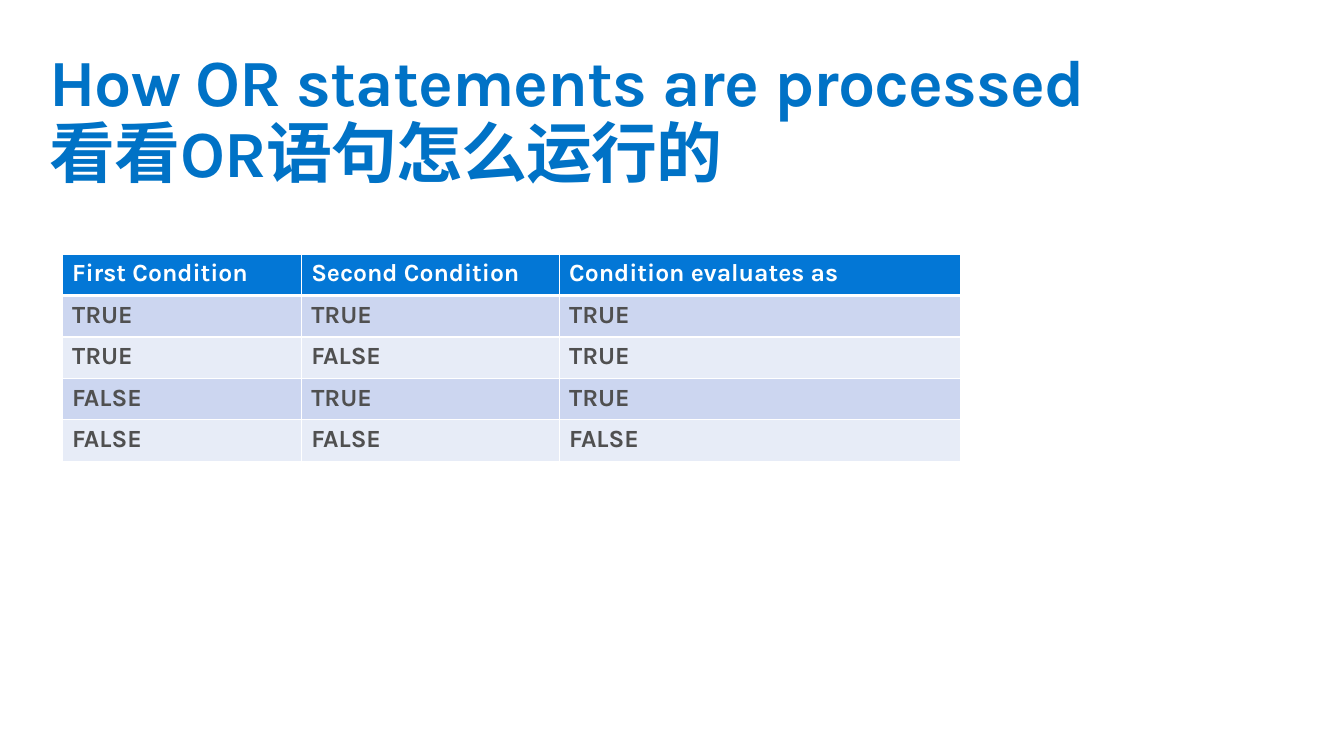
from lxml import etree
from pptx import Presentation
from pptx.dml.color import RGBColor
from pptx.enum import text
from pptx.oxml import ns
from pptx.util import Inches, Pt

TITLE_BLUE = RGBColor(0x00, 0x72, 0xC6)
HEADER_BLUE = RGBColor(0x03, 0x77, 0xD6)
BAND_DARK = RGBColor(0xCC, 0xD6, 0xF0)
BAND_LIGHT = RGBColor(0xE7, 0xEC, 0xF7)
WHITE = RGBColor(0xFF, 0xFF, 0xFF)
GREY = RGBColor(0x50, 0x50, 0x50)

TITLE = "How OR statements are processed\v看看OR语句怎么运行的"
HEADINGS = ("First Condition", "Second Condition", "Condition evaluates as")
CONDITIONS = [(first, second) for first in (True, False) for second in (True, False)]
COLUMN_WIDTHS = (2.42, 2.61, 4.06)
ROW_HEIGHT = 0.42


def set_attributes(target, values):
    """Set each named value on the target."""
    for name, value in values.items():
        setattr(target, name, value)


def format_runs(paragraph, size, color):
    """Give every run of a paragraph the bold slide font."""
    for run in paragraph.runs:
        set_attributes(run.font, {"name": "Karla", "size": Pt(size), "bold": True})
        run.font.color.rgb = color


def add_title(slide):
    """Place and format the bilingual title."""
    title = slide.shapes.title
    set_attributes(title, {"left": Inches(0.4), "top": Inches(0.4),
                           "width": Inches(12.8), "height": Inches(1)})
    frame = title.text_frame
    margins = {f"margin_{side}": Inches(0.1) for side in ("left", "top", "right", "bottom")}
    set_attributes(frame, {**margins, "word_wrap": True,
                           "auto_size": text.MSO_AUTO_SIZE.NONE,
                           "vertical_anchor": text.MSO_ANCHOR.TOP})
    paragraph = frame.paragraphs[0]
    paragraph.text = TITLE
    set_attributes(paragraph, {"alignment": text.PP_ALIGN.LEFT, "line_spacing": 0.9})
    format_runs(paragraph, 48, TITLE_BLUE)
    for run in paragraph.runs:
        run.font._element.set("spc", "-70")


def add_borders(cell, widths):
    """Draw white cell borders, with widths in points by side."""
    properties = cell._tc.get_or_add_tcPr()
    for side, width in widths.items():
        line = etree.SubElement(properties, ns.qn(f"a:ln{side}"), w=str(Pt(width)))
        fill = etree.SubElement(line, ns.qn("a:solidFill"))
        etree.SubElement(fill, ns.qn("a:srgbClr"), val=str(WHITE))


def fill_cell(cell, label, fill_color, text_color, widths):
    """Write one table cell with its fill and borders."""
    add_borders(cell, widths)
    cell.fill.solid()
    cell.fill.fore_color.rgb = fill_color
    paragraph = cell.text_frame.paragraphs[0]
    paragraph.text = label
    format_runs(paragraph, 18, text_color)


def add_truth_table(slide):
    """Add the OR truth table with a header and banded rows."""
    results = [(first, second, first or second) for first, second in CONDITIONS]
    rows = [HEADINGS] + [[str(value).upper() for value in row] for row in results]
    table = slide.shapes.add_table(
        len(rows), len(HEADINGS), Inches(0.63), Inches(2.57),
        Inches(sum(COLUMN_WIDTHS)), Inches(ROW_HEIGHT * len(rows))).table
    for column, width in zip(table.columns, COLUMN_WIDTHS):
        column.width = Inches(width)
    for index, labels in enumerate(rows):
        table.rows[index].height = Inches(ROW_HEIGHT)
        band = BAND_DARK if index % 2 else BAND_LIGHT
        fill_color, text_color = (band, GREY) if index else (HEADER_BLUE, WHITE)
        widths = {"L": 1, "R": 1, "T": 3 if index == 1 else 1, "B": 1 if index else 3}
        for cell, label in zip(table.rows[index].cells, labels):
            fill_cell(cell, label, fill_color, text_color, widths)


def main():
    """Build and save the slide."""
    presentation = Presentation()
    set_attributes(presentation, {"slide_width": Inches(13.6), "slide_height": Inches(7.65)})
    slide = presentation.slides.add_slide(presentation.slide_layouts[5])
    add_title(slide)
    add_truth_table(slide)
    presentation.save("out.pptx")


if __name__ == "__main__":
    main()
